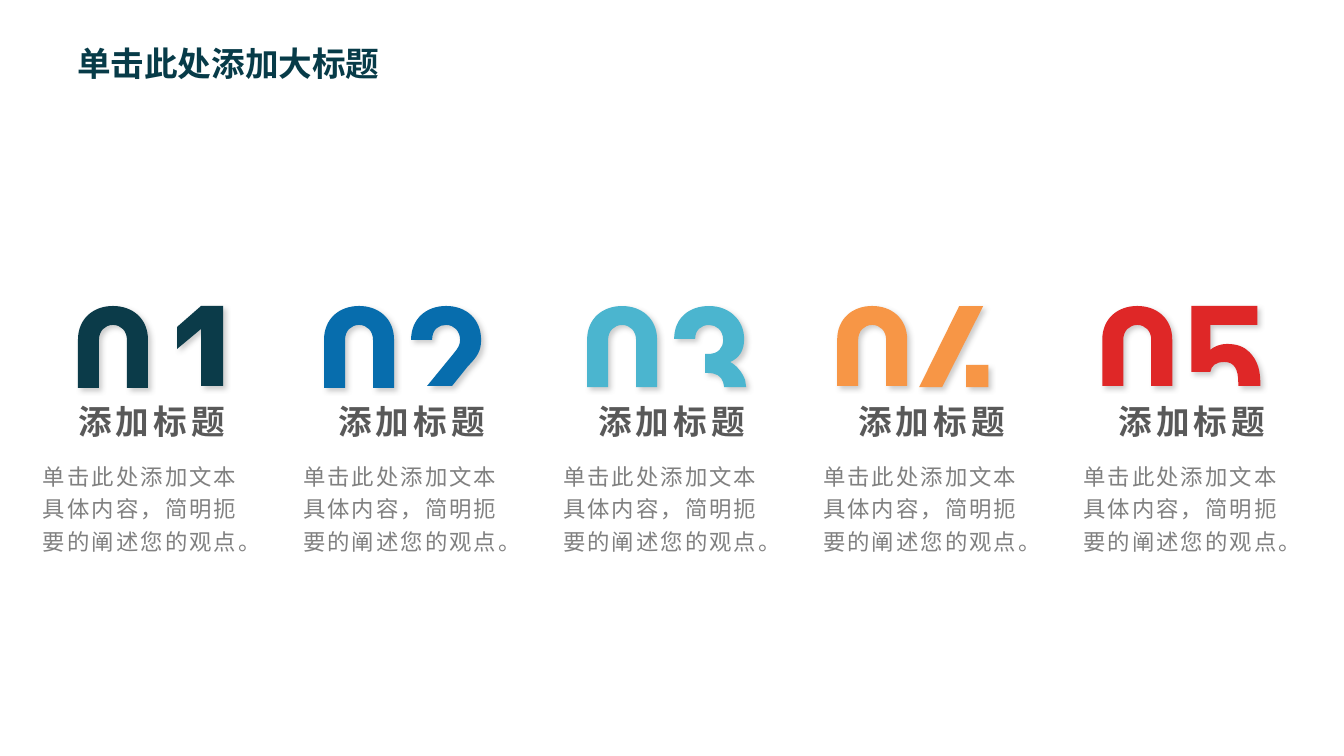
from itertools import chain

from lxml import etree
from pptx import Presentation
from pptx.dml.color import RGBColor
from pptx.enum.text import MSO_ANCHOR, MSO_AUTO_SIZE, PP_ALIGN
from pptx.oxml.ns import qn
from pptx.util import Emu, Inches, Pt

EMU_PER_PX = 914400 / 100.8
CJK_FONT = "Noto Sans CJK SC"
LATIN_FONT = "Arial"
TITLE_COLOR = RGBColor(0x07, 0x3B, 0x48)
HEADING_COLOR = RGBColor(0x59, 0x59, 0x59)
BODY_COLOR = RGBColor(0x80, 0x80, 0x80)
NAVY = RGBColor(0x0B, 0x3B, 0x49)
BLUE = RGBColor(0x07, 0x6D, 0xAD)
CYAN = RGBColor(0x4B, 0xB5, 0xCF)
ORANGE = RGBColor(0xF7, 0x96, 0x46)
RED = RGBColor(0xDF, 0x27, 0x27)

COLUMN_LEFT, COLUMN_PITCH, COLUMN_WIDTH = 33, 260, 237
DIGIT_TOP, HEADING_TOP, BODY_TOP = 306, 390, 458

ONE = [[(24, 0), (46, 0), (46, 80), (24, 80), (24, 23), (0, 43), (0, 21)]]
TWO = [[(35, 0), (55, 0, 70, 13, 70, 34), (70, 45, 66, 51, 57, 60),
        (41, 80), (16, 80), (43, 47), (47, 42, 49, 39, 49, 34),
        (49, 25, 43, 19, 35, 19), (28, 19, 21, 23, 21, 34),
        (0, 34), (0, 13, 15, 0, 35, 0)]]
THREE = [[(35, 0), (55, 0, 70, 14, 70, 33), (70, 45, 65, 52, 56, 56),
          (62, 59, 68, 66, 71, 74), (72, 81), (50, 81), (49, 76),
          (47, 70, 42, 67, 34, 67), (31, 67), (31, 48), (34, 48),
          (44, 48, 49, 42, 49, 34), (49, 24, 42, 19, 35, 19),
          (27, 19, 21, 24, 21, 33), (0, 33), (0, 12, 15, 0, 35, 0)]]
FOUR = [[(47, 59), (69, 59), (69, 81), (47, 81)],
        [(40, 0), (64, 0), (23, 81), (0, 81)]]
FIVE = [[(0, 0), (66, 0), (66, 19), (19, 19), (19, 44),
         (22, 41, 28, 38, 36, 38), (46, 38, 53, 41, 58, 46),
         (67, 55, 69, 66, 69, 77), (69, 80), (47, 80), (47, 77),
         (47, 63, 43, 56, 33, 56), (24, 56, 20, 60, 19, 66), (0, 66)]]

COLUMNS = [
    (NAVY, 45, 82, ONE, 144),
    (BLUE, 31, 82, TWO, 118),
    (CYAN, 34, 81, THREE, 121),
    (ORANGE, 24, 80, FOUR, 106),
    (RED, 29, 80, FIVE, 118),
]


def px(length):
    return Emu(round(length * EMU_PER_PX))


def zero(height):
    return [[(35, 0), (54, 0, 70, 12, 70, 34), (70, height), (49, height),
             (49, 34), (49, 25, 43, 19, 35, 19), (27, 19, 21, 25, 21, 34),
             (21, height), (0, height), (0, 34), (0, 12, 16, 0, 35, 0)]]


def end_points(contour):
    return [(px(segment[-2]), px(segment[-1])) for segment in contour]


def bend_curves(digit, contours):
    segments = chain.from_iterable(contour[1:] for contour in contours)
    edges = list(digit._element.iter(qn("a:lnTo")))
    for edge, segment in zip(edges, segments):
        if len(segment) == 2:
            continue
        curve = etree.Element(qn("a:cubicBezTo"))
        for x, y in zip(segment[::2], segment[1::2]):
            etree.SubElement(curve, qn("a:pt"), x=str(px(x)), y=str(px(y)))
        edge.getparent().replace(edge, curve)


def add_digit(slide, contours, left, top, color):
    first, *others = map(end_points, contours)
    outline = slide.shapes.build_freeform(*first[0])
    outline.add_line_segments(first[1:], close=True)
    for points in others:
        outline.move_to(*points[0])
        outline.add_line_segments(points[1:], close=True)
    digit = outline.convert_to_shape(px(left), px(top))
    bend_curves(digit, contours)
    digit.fill.solid()
    digit.fill.fore_color.rgb = color
    digit.line.fill.background()
    digit.shadow.inherit = False
    effects = digit._element.spPr.find(qn("a:effectLst"))
    shadow = etree.SubElement(effects, qn("a:outerShdw"), blurRad="50800",
                              dist="38100", dir="2700000", algn="tl", rotWithShape="0")
    shadow_color = etree.SubElement(shadow, qn("a:srgbClr"), val="808080")
    etree.SubElement(shadow_color, qn("a:alpha"), val="40000")


def write(frame, text, *, size, color, font=LATIN_FONT, bold=False, align=PP_ALIGN.LEFT,
          anchor=MSO_ANCHOR.TOP, line_spacing=1.0, tracking=0, insets=(10, 5, 10, 5)):
    frame.word_wrap = True
    frame.auto_size = MSO_AUTO_SIZE.NONE
    frame.vertical_anchor = anchor
    (frame.margin_left, frame.margin_top,
     frame.margin_right, frame.margin_bottom) = map(px, insets)
    paragraph = frame.paragraphs[0]
    paragraph.alignment = align
    paragraph.line_spacing = line_spacing
    run = paragraph.add_run()
    run.text = text
    run.font.size = Pt(size)
    run.font.bold = bold
    run.font.color.rgb = color
    run.font.name = font
    properties = run._r.get_or_add_rPr()
    properties.set("spc", str(round(tracking * 100)))
    etree.SubElement(properties, qn("a:ea"), typeface=CJK_FONT)


def add_text(slide, text, left, top, width, height, **text_format):
    box = slide.shapes.add_textbox(px(left), px(top), px(width), px(height))
    write(box.text_frame, text, **text_format)


def place_title(slide, left, top, width, height):
    title = slide.shapes.title
    title.left, title.top, title.width, title.height = map(px, (left, top, width, height))
    write(title.text_frame, "单击此处添加大标题", size=24, color=TITLE_COLOR,
          font=CJK_FONT, bold=True, anchor=MSO_ANCHOR.MIDDLE, insets=(11, 4, 8, 4))


def add_column(slide, left, width, color, zero_offset, zero_height, numeral, numeral_offset):
    add_text(slide, "添加标题", left + 30, HEADING_TOP, width - 60, 58, size=24,
             color=HEADING_COLOR, bold=True, align=PP_ALIGN.CENTER,
             anchor=MSO_ANCHOR.MIDDLE, line_spacing=1.1, tracking=3)
    add_text(slide, "单击此处添加文本具体内容，简明扼要的阐述您的观点。",
             left, BODY_TOP, width, 129, size=16, color=BODY_COLOR,
             line_spacing=1.2, tracking=1.5, insets=(10, 0, 10, 5))
    add_digit(slide, zero(zero_height), left + zero_offset, DIGIT_TOP, color)
    add_digit(slide, numeral, left + numeral_offset, DIGIT_TOP, color)


def main():
    presentation = Presentation()
    presentation.slide_width = Inches(13.33)
    presentation.slide_height = Inches(7.5)
    slide = presentation.slides.add_slide(presentation.slide_layouts[5])
    place_title(slide, 66, 24, 939, 78)
    for index, column in enumerate(COLUMNS):
        add_column(slide, COLUMN_LEFT + index * COLUMN_PITCH, COLUMN_WIDTH, *column)
    presentation.save("out.pptx")


if __name__ == "__main__":
    main()
